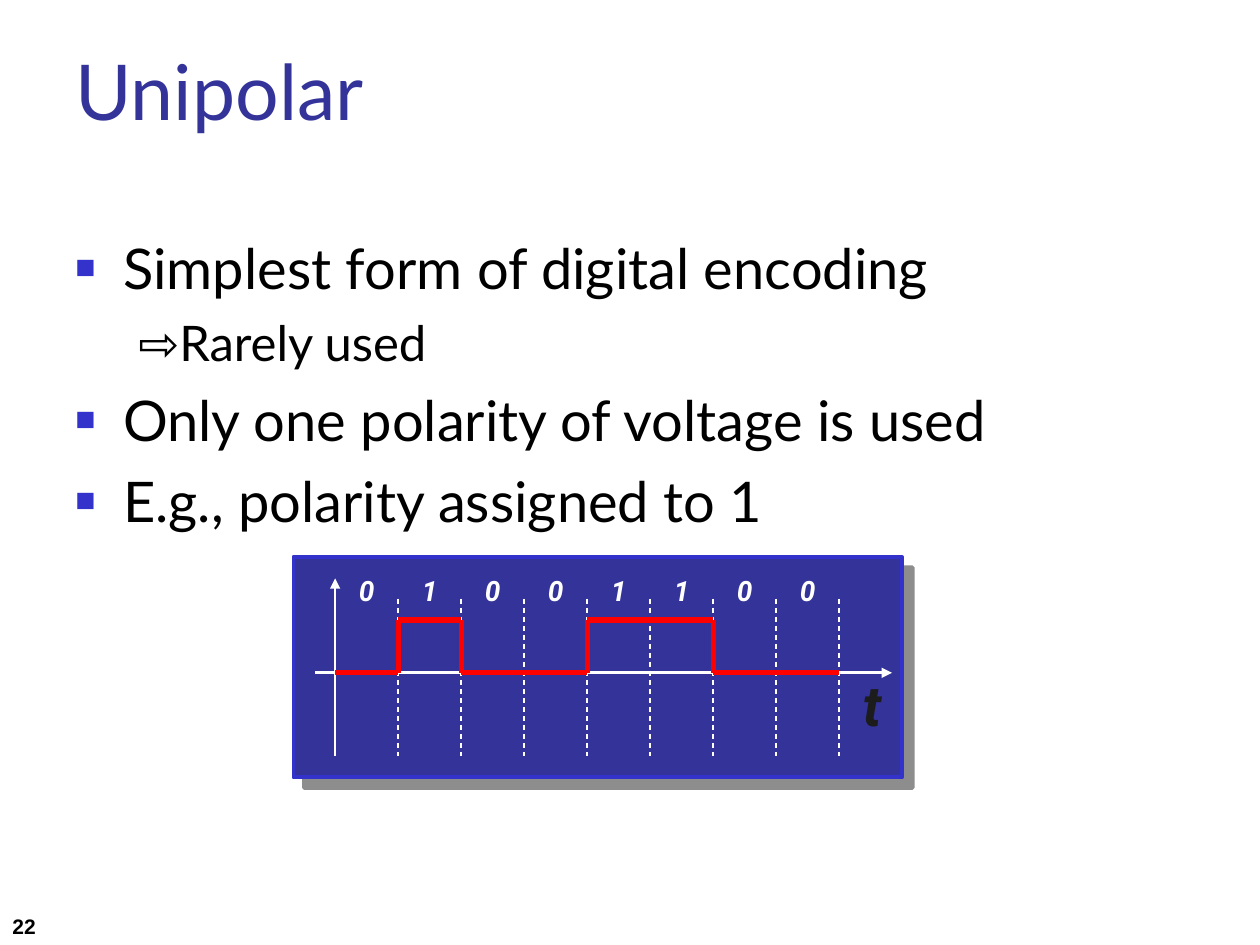
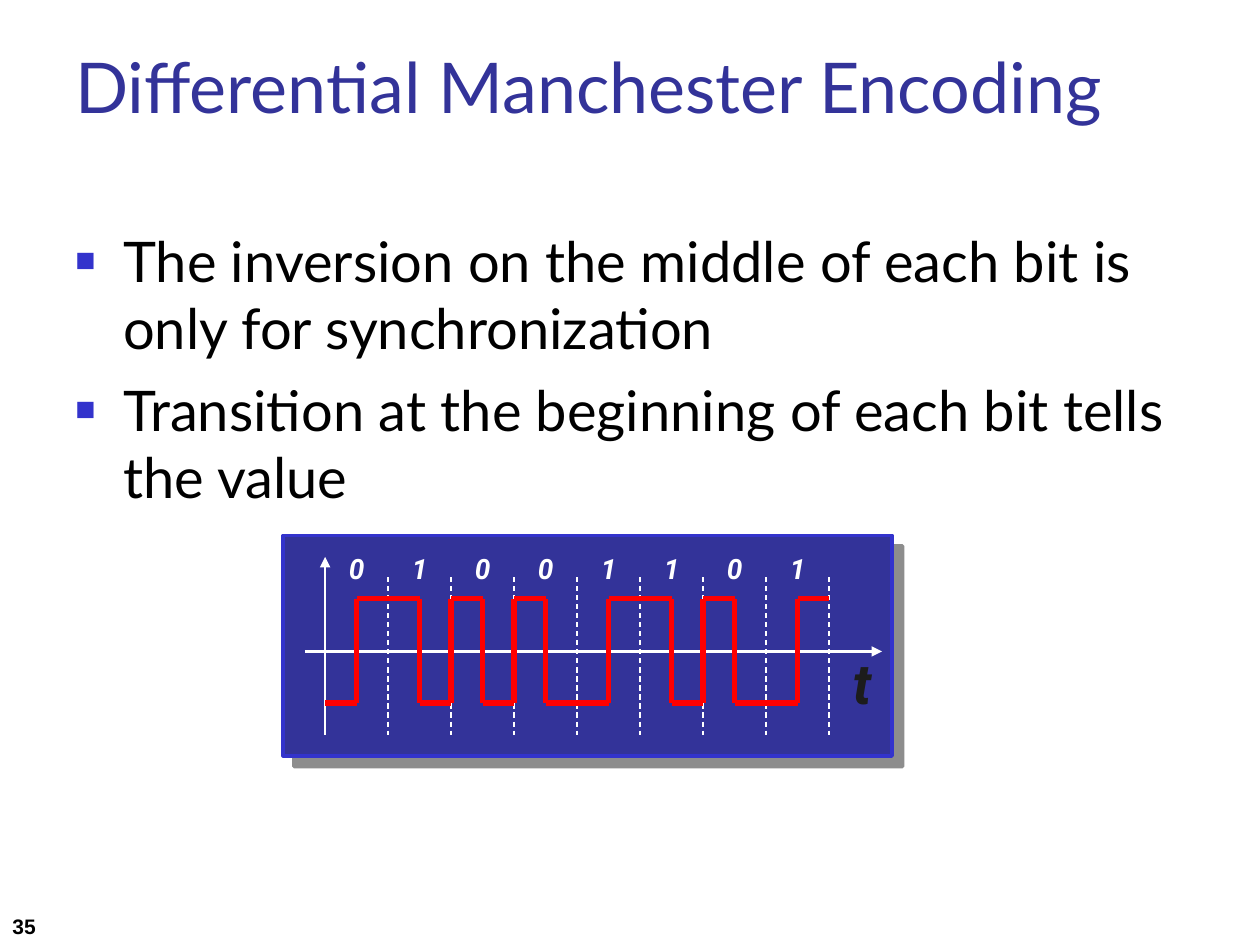
import lxml.etree
import pptx
import pptx.dml.color
import pptx.enum.dml
import pptx.enum.shapes
import pptx.enum.text
import pptx.oxml.ns
import pptx.util

Inches, Pt = pptx.util.Inches, pptx.util.Pt
qn = pptx.oxml.ns.qn
ANCHOR = pptx.enum.text.MSO_ANCHOR

# Content: bullets are (level, text), signals list the levels in equal time steps
SLIDES = [
    {
        "number": "22", "title": "Unipolar", "title_size": 44, "body_top": 1.8,
        "bullets": [
            (0, "Simplest form of digital encoding"),
            (1, "Rarely used"),
            (0, "Only one polarity of voltage is used"),
            (0, "E.g., polarity assigned to 1"),
        ],
        "panel": (2.33, 4.42), "bits": "01001100",
        "signal": "0+00++00",
    },
    {
        "number": "35", "title": "Differential Manchester Encoding",
        "title_size": 40, "body_top": 1.75,
        "bullets": [
            (0, "The inversion on the middle of each bit is only for synchronization"),
            (0, "Transition at the beginning of each bit tells the value"),
        ],
        "panel": (2.25, 4.25), "bits": "01001101",
        "signal": "-++-+-+--++-+--+",
    },
]

# Shared look
NAVY, BLUE, RED, DARK = "333399", "3333CC", "FF0000", "1C1C1C"
WHITE, BLACK = "FFFFFF", "000000"
LEVEL_SIZE = (32, 28)
LEVEL_INDENT = ((0.38, -0.38), (0.81, -0.31))
LEVEL_SPACE = (8, 7)

# Distances inside the signal panel
BIT_WIDTH = 0.5
AXIS_X, TOP, BOTTOM = 0.33, 0.17, 1.58
LEVEL_Y = {"+": 0.5, "0": 0.92, "-": 1.33}


def color(hex_string):
    return pptx.dml.color.RGBColor.from_string(hex_string)


def add_xml(parent, tag, **attributes):
    return lxml.etree.SubElement(parent, qn(tag), attributes)


def style_run(r, size, font, hex_color, bold=False, italic=False):
    r.font.size, r.font.name = Pt(size), font
    r.font.bold, r.font.italic = bold, italic
    r.font.color.rgb = color(hex_color)


def add_box(shapes, left, top, width, height, wrap=True, anchor=ANCHOR.TOP):
    sp = shapes.add_textbox(Inches(left), Inches(top), Inches(width), Inches(height))
    tf = sp.text_frame
    tf.word_wrap, tf.vertical_anchor = wrap, anchor
    return tf


def add_label(shapes, text, place, style, align=None, **box):
    tf = add_box(shapes, *place, **box)
    tf.text = text
    p = tf.paragraphs[0]
    p.alignment = align
    style_run(p.runs[0], *style)


def add_line(shapes, x1, y1, x2, y2, hex_color, width, dashed=False, arrow=None):
    cn = shapes.add_connector(pptx.enum.shapes.MSO_CONNECTOR.STRAIGHT,
                              Inches(x1), Inches(y1), Inches(x2), Inches(y2))
    cn.line.color.rgb = color(hex_color)
    cn.line.width = Pt(width)
    if dashed:
        cn.line.dash_style = pptx.enum.dml.MSO_LINE.DASH
    sp_pr = cn._element.spPr
    if arrow:
        add_xml(sp_pr.find(qn("a:ln")), arrow, type="triangle")
    add_xml(sp_pr, "a:effectLst")


def add_bullets(s, top, bullets):
    tf = add_box(s.shapes, 0.5, top, 9, 4.95)
    for i, (level, text) in enumerate(bullets):
        p = tf.paragraphs[0] if i == 0 else tf.add_paragraph()
        p.text = text if level == 0 else "⇨"
        p.level = level
        p.space_before = Pt(LEVEL_SPACE[level] if i else 0)
        p_pr = p._p.get_or_add_pPr()
        margin, indent = LEVEL_INDENT[level]
        p_pr.set("marL", str(Inches(margin)))
        p_pr.set("indent", str(Inches(indent)))
        if level == 0:
            add_xml(add_xml(p_pr, "a:buClr"), "a:srgbClr", val=BLUE)
            add_xml(p_pr, "a:buSzPct", val="60000")
            add_xml(p_pr, "a:buFont", typeface="Arial")
            add_xml(p_pr, "a:buChar", char="■")
        else:
            add_xml(p_pr, "a:buNone")
            style_run(p.runs[0], LEVEL_SIZE[level], "Arial", BLACK)
            p.add_run().text = text
        style_run(p.runs[-1], LEVEL_SIZE[level], "Lato", BLACK)


def add_panel(shapes, x, y):
    sp = shapes.add_shape(pptx.enum.shapes.MSO_SHAPE.RECTANGLE,
                          Inches(x), Inches(y), Inches(4.83), Inches(1.75))
    sp.fill.solid()
    sp.fill.fore_color.rgb = color(NAVY)
    sp.line.color.rgb = color(BLUE)
    sp.line.width = Pt(2.25)
    sp.shadow.inherit = False
    effects = sp._element.spPr.find(qn("a:effectLst"))
    shadow = add_xml(effects, "a:outerShdw", dist=str(Pt(8.5)), dir="2700000",
                     algn="ctr", rotWithShape="0")
    add_xml(add_xml(shadow, "a:srgbClr", val=DARK), "a:alpha", val="50000")


def add_signal_diagram(s, panel, bits, signal):
    x, y = panel
    x0 = x + AXIS_X
    shapes = s.shapes.add_group_shape().shapes
    add_panel(shapes, x, y)

    # Axes
    add_line(shapes, x0, y + TOP, x0, y + BOTTOM, WHITE, 1.5, arrow="a:headEnd")
    axis_y = y + LEVEL_Y["0"]
    add_line(shapes, x + 0.17, axis_y, x + 4.75, axis_y, WHITE, 1.5, arrow="a:tailEnd")
    add_label(shapes, "t", (x + 4.42, y + 0.85, 0.38, 0.64),
              (32, "Roboto", DARK, True, True), wrap=False)

    # Bit values and the dashed line after each bit
    for i, bit in enumerate(bits):
        left = x0 + i * BIT_WIDTH
        right = left + BIT_WIDTH
        add_line(shapes, right, y + 0.33, right, y + BOTTOM, WHITE, 0.75, dashed=True)
        add_label(shapes, bit, (left, y + 0.08, BIT_WIDTH, 0.37),
                  (16, "Roboto", WHITE, True, True), pptx.enum.text.PP_ALIGN.CENTER)

    # Signal: a level per step, and a vertical edge where the level changes
    step = len(bits) * BIT_WIDTH / len(signal)
    previous = signal[0]
    for i, level in enumerate(signal):
        left, level_y = x0 + i * step, y + LEVEL_Y[level]
        if level != previous:
            add_line(shapes, left, y + LEVEL_Y[previous], left, level_y, RED, 3)
        add_line(shapes, left, level_y, left + step, level_y, RED, 3)
        previous = level


def main():
    prs = pptx.Presentation()
    prs.slide_width, prs.slide_height = Inches(10), Inches(7.5)
    for content in SLIDES:
        s = prs.slides.add_slide(prs.slide_layouts[6])
        add_label(s.shapes, content["number"], (0, 7, 2.08, 0.5),
                  (12, "Arial", BLACK, True), anchor=ANCHOR.BOTTOM)
        add_label(s.shapes, content["title"], (0.5, 0.3, 9, 1.25),
                  (content["title_size"], "Lato", NAVY))
        add_bullets(s, content["body_top"], content["bullets"])
        add_signal_diagram(s, content["panel"], content["bits"], content["signal"])
    prs.save("out.pptx")


if __name__ == "__main__":
    main()
